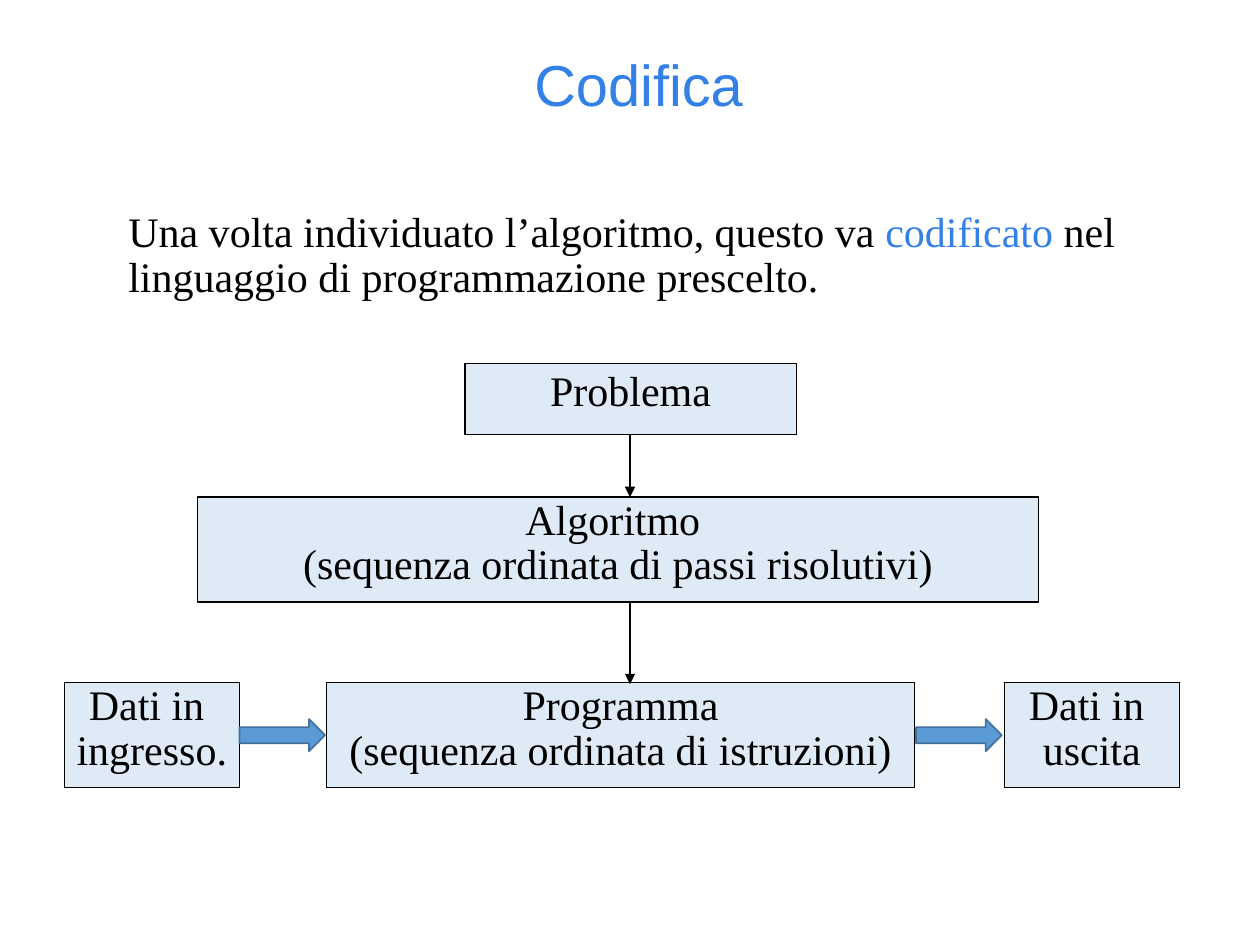
from lxml.etree import SubElement
from pptx import Presentation
from pptx.dml.color import RGBColor
from pptx.enum.shapes import MSO_CONNECTOR, MSO_SHAPE
from pptx.enum.text import MSO_ANCHOR, PP_ALIGN
from pptx.oxml.ns import qn
from pptx.util import Inches, Pt

WIDE, HIGH = Inches(10), Inches(7.5)
BLACK, BLUE, PALE = "000000", "3380E6", "DEEBF7"
SERIF = "Times New Roman"
ROW, TALL = 72.2, 11.1  # top of the bottom row, height of a two-line box


def tint(code):
    return RGBColor.from_string(code)


def place(left, top, *size):
    """Turn percentages of the slide into lengths, across then down."""
    shares = (left, top, *size)
    return [int((HIGH if i % 2 else WIDE) * s / 100) for i, s in enumerate(shares)]


def add_run(para, text, color=BLACK, size=24, face=SERIF):
    run = para.add_run()
    run.text = text
    run.font.size, run.font.name = Pt(size), face
    run.font.color.rgb = tint(color)


def add_text(slide, area):
    """Add a wrapping text box and return its first paragraph."""
    frame = slide.shapes.add_textbox(*place(*area)).text_frame
    frame.word_wrap = True
    para = frame.paragraphs[0]
    para.line_spacing = 0.9
    return para


def add_shape(slide, kind, area, fill, line, width):
    shape = slide.shapes.add_shape(kind, *place(*area))
    shape.shadow.inherit = False
    shape.fill.solid()
    shape.fill.fore_color.rgb = tint(fill)
    shape.line.color.rgb = tint(line)
    shape.line.width = Pt(width)
    return shape


def add_box(slide, area, *lines):
    shape = add_shape(slide, MSO_SHAPE.RECTANGLE, area, PALE, BLACK, 0.75)
    frame = shape.text_frame
    frame.word_wrap = True
    frame.margin_left = frame.margin_right = Inches(0.05)
    frame.vertical_anchor = MSO_ANCHOR.TOP
    for i, text in enumerate(lines):
        para = frame.add_paragraph() if i else frame.paragraphs[0]
        para.alignment = PP_ALIGN.CENTER
        para.line_spacing = 0.8 if i < len(lines) - 1 else 0.9
        add_run(para, text)


def add_arrow(slide, top, end):
    """Add a thin arrow down the middle of the slide."""
    ends = place(50, top, 50, end)
    arrow = slide.shapes.add_connector(MSO_CONNECTOR.STRAIGHT, *ends)
    arrow.line.color.rgb = tint(BLACK)
    arrow.line.width = Pt(1.25)
    SubElement(arrow.line._get_or_add_ln(), qn("a:tailEnd"), type="triangle")
    SubElement(arrow._element.spPr, qn("a:effectLst"))


def main():
    deck = Presentation()
    deck.slide_width, deck.slide_height = WIDE, HIGH
    slide = deck.slides.add_slide(deck.slide_layouts[6])

    title = add_text(slide, (6.9, 5.33, 86.3, 9.1))
    title.alignment = PP_ALIGN.CENTER
    add_run(title, " ", size=33, face="Arial")
    add_run(title, "Codifica", BLUE, 33, "Arial")

    intro = add_text(slide, (9.2, 21.7, 86.3, 13.3))
    add_run(intro, "Una volta individuato l’algoritmo, questo va ")
    add_run(intro, "codificato", BLUE)
    add_run(intro, " nel linguaggio di programmazione prescelto.")

    add_box(slide, (15.7, 52.6, 66.7, TALL),
            "Algoritmo ", "(sequenza ordinata di passi risolutivi)")
    add_box(slide, (36.9, 38.5, 26.3, 7.5), "Problema")
    add_box(slide, (5.1, ROW, 13.9, TALL), "Dati in ", "ingresso.")
    add_box(slide, (79.7, ROW, 13.9, TALL), "Dati in ", "uscita")
    add_box(slide, (25.9, ROW, 46.7, TALL),
            "Programma", "(sequenza ordinata di istruzioni)")

    for top, end in ((45.9, 52.6), (63.7, 72.4)):
        add_arrow(slide, top, end)
    for left in (19, 72.7):
        add_shape(slide, MSO_SHAPE.RIGHT_ARROW, (left, 76.1, 6.8, 3.4),
                  "5B9BD5", "41719C", 1)

    deck.save("out.pptx")


if __name__ == "__main__":
    main()
